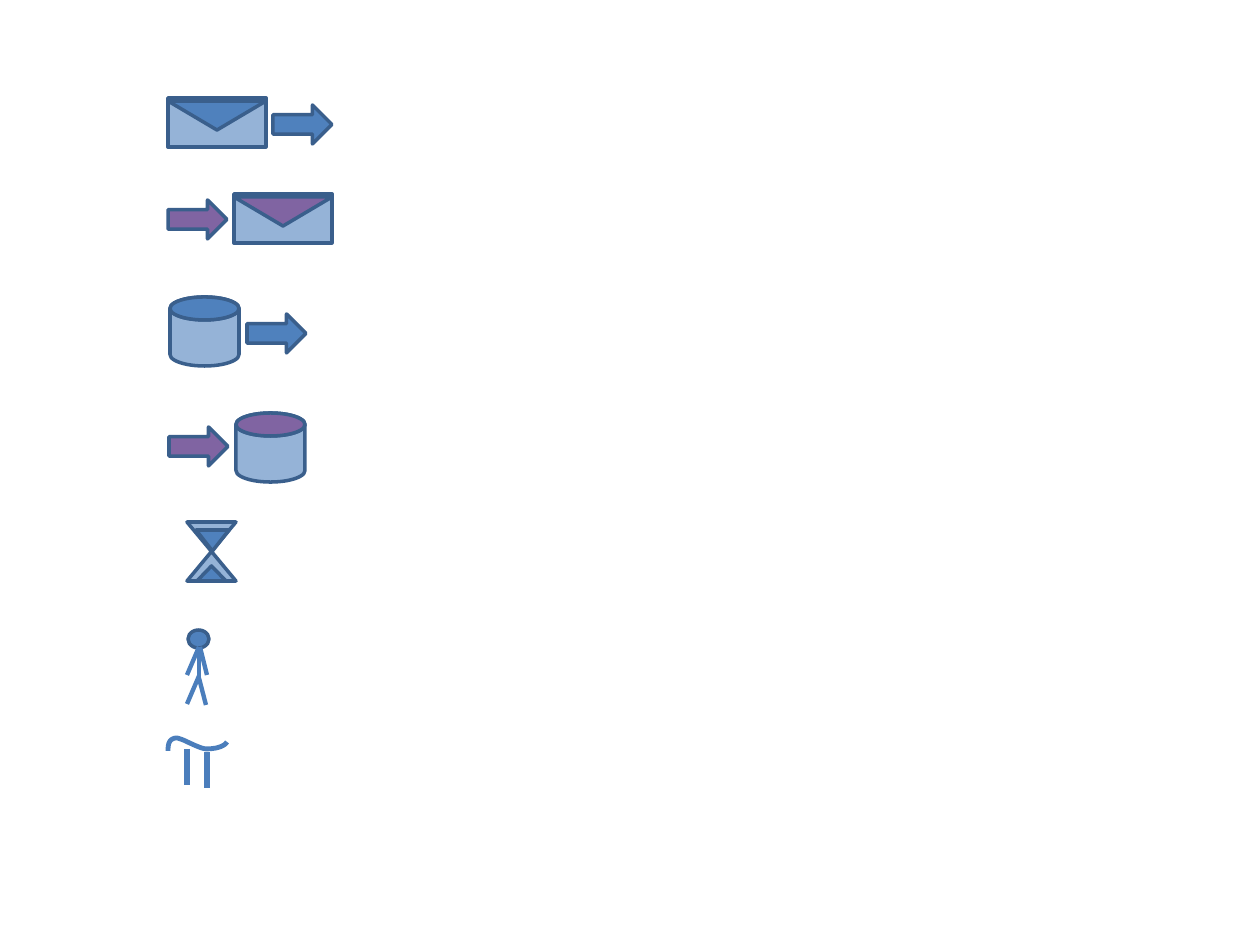
from pptx import Presentation
from pptx import util as u
from pptx.dml.color import RGBColor
from pptx.enum import shapes as s
from pptx.oxml.ns import qn
from lxml import etree

COLORS = {"pale": "95B3D7", "blue": "4F81BD", "purple": "8064A2",
          "outline": "3A5F8C", "stroke": "4B7EBC"}
KIND = s.MSO_SHAPE
ARROW_W, ARROW_H = 59, 39


def px(n):
    return u.Emu(round(n * 914400 / 126))


def set_line(item, color, width):
    item.line.color.rgb = RGBColor.from_string(COLORS[color])
    item.line.width = u.Pt(width)


def add_part(icon, kind, x, y, w, h, fill, rotation=0):
    part = icon.shapes.add_shape(kind, px(x), px(y), px(w), px(h))
    part.shadow.inherit = False
    part.rotation = rotation
    part.fill.solid()
    part.fill.fore_color.rgb = RGBColor.from_string(COLORS[fill])
    set_line(part, "outline", 2)


def add_stroke(icon, x1, y1, x2, y2, width):
    stroke = icon.shapes.add_connector(
        s.MSO_CONNECTOR.STRAIGHT, px(x1), px(y1), px(x2), px(y2))
    set_line(stroke, "stroke", width)
    etree.SubElement(stroke._element.spPr, qn("a:effectLst"))


def add_arrow(icon, x, y, fill):
    add_part(icon, KIND.RIGHT_ARROW, x, y, ARROW_W, ARROW_H, fill)


def draw_envelope(icon, x, y, accent):
    add_part(icon, KIND.RECTANGLE, x, y, 98, 49, "pale")
    add_part(icon, KIND.ISOSCELES_TRIANGLE, x, y + 3, 98, 29, accent, 180)


def draw_database(icon, x, y, accent):
    add_part(icon, KIND.FLOWCHART_MAGNETIC_DISK, x, y, 69, 69, "pale")
    add_part(icon, KIND.FLOWCHART_CONNECTOR, x, y, 69, 23, accent)


def draw_hourglass(icon, x, y):
    add_part(icon, KIND.FLOWCHART_COLLATE, x, y, 49, 59, "pale")
    add_part(icon, KIND.FLOWCHART_MERGE, x + 9, y + 8, 33, 21, "blue")
    add_part(icon, KIND.FLOWCHART_EXTRACT, x + 10, y + 44, 29, 15, "blue")


def draw_person(icon, x, y):
    add_part(icon, KIND.FLOWCHART_CONNECTOR, x + 1, y, 21, 18, "blue")
    # Body, left leg, left arm, right leg, right arm
    for x1, y1, x2, y2 in [(12, 19, 12, 49), (12, 46, 0, 74), (12, 17, 0, 45),
                           (12, 48, 19, 75), (13, 17, 20, 45)]:
        add_stroke(icon, x + x1, y + y1, x + x2, y + y2, 2.5)


def bezier(p0, p1, p2, p3, steps=12):
    for i in range(1, steps + 1):
        t = i / steps
        yield tuple((1 - t) ** 3 * a + 3 * t * (1 - t) ** 2 * b
                    + 3 * t * t * (1 - t) * c + t ** 3 * d
                    for a, b, c, d in zip(p0, p1, p2, p3))


def draw_pi(icon, x, y):
    # Wavy top bar
    start = (0, 13)
    curves = [((0, 6), (1, 1), (8, 0)), ((14, 0), (29, 10), (38, 11)),
              ((47, 11), (56, 9), (59, 4))]
    points = [start]
    for curve in curves:
        points += bezier(points[-1], *curve)
    places = [(px(x + dx), px(y + dy)) for dx, dy in points]
    builder = icon.shapes.build_freeform(*places[0])
    builder.add_line_segments(places[1:], close=False)
    bar = builder.convert_to_shape()
    bar.shadow.inherit = False
    bar.fill.background()
    set_line(bar, "stroke", 2.75)
    # Legs
    for dx, dy in [(19, 11), (39, 14)]:
        add_stroke(icon, x + dx, y + dy, x + dx, y + dy + 36, 3)


deck = Presentation()
deck.slide_width, deck.slide_height = px(1260), px(945)
slide = deck.slides.add_slide(deck.slide_layouts[6])

# Messages and data, sent in blue and received in purple
for draw, left, top, arrow_left, arrow_top, accent in [
        (draw_envelope, 168, 98, 273, 105, "blue"),
        (draw_envelope, 234, 194, 168, 200, "purple"),
        (draw_database, 170, 297, 247, 314, "blue"),
        (draw_database, 236, 413, 169, 427, "purple")]:
    icon = slide.shapes.add_group_shape()
    draw(icon, left, top, accent)
    add_arrow(icon, arrow_left, arrow_top, accent)

# Timer, person and pi
for draw, left, top in [(draw_hourglass, 187, 522), (draw_person, 187, 630),
                        (draw_pi, 168, 738)]:
    draw(slide.shapes.add_group_shape(), left, top)

deck.save("out.pptx")
